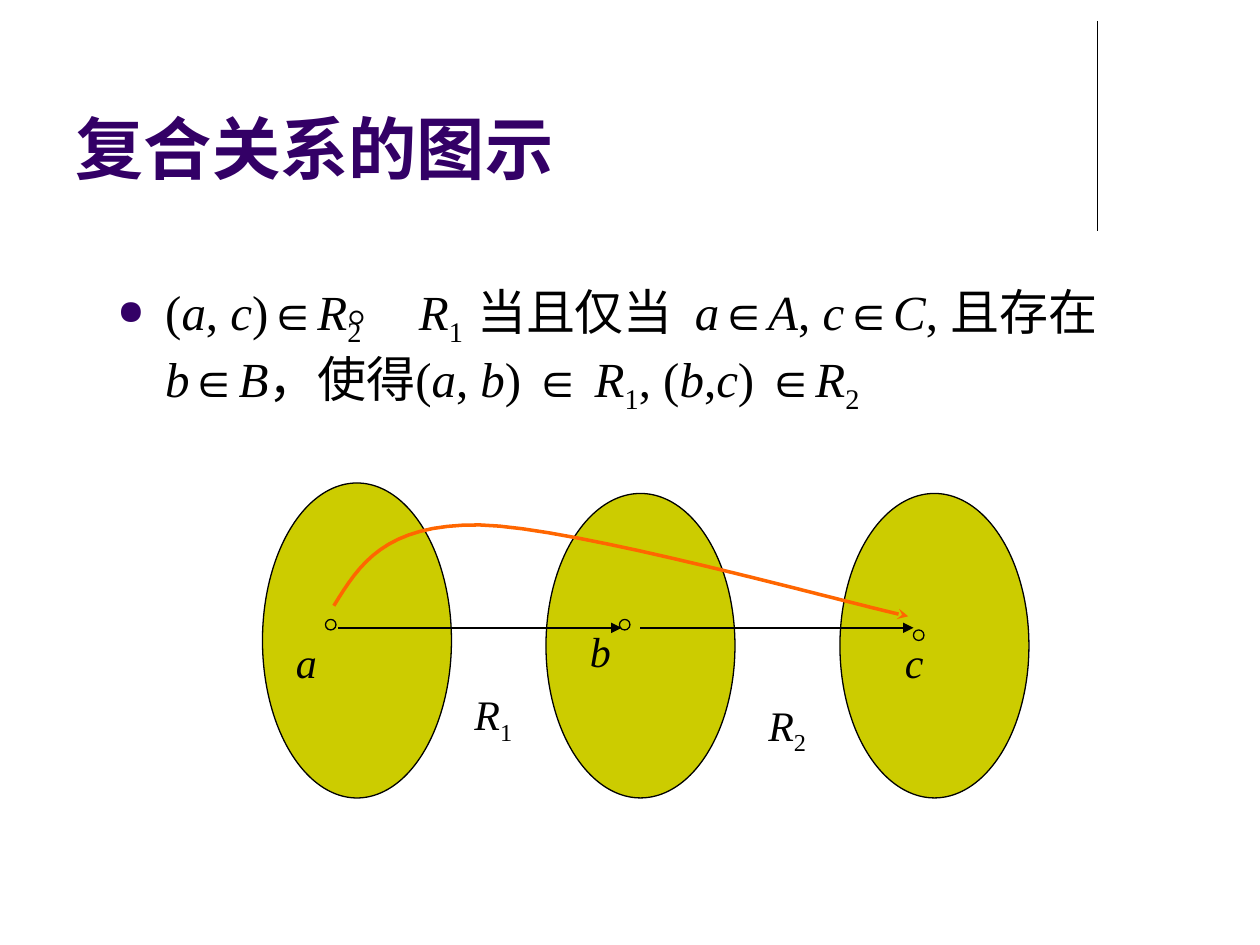
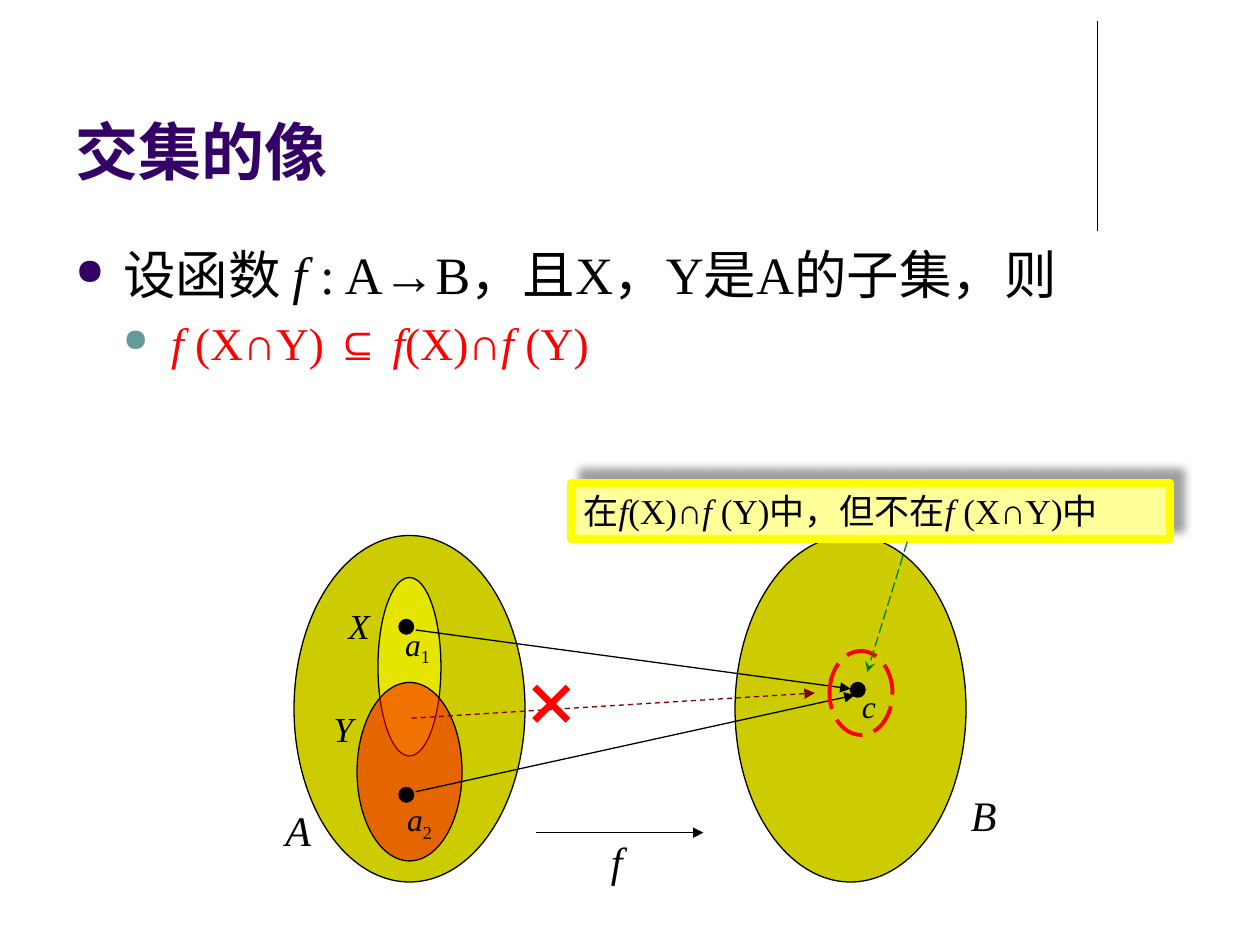
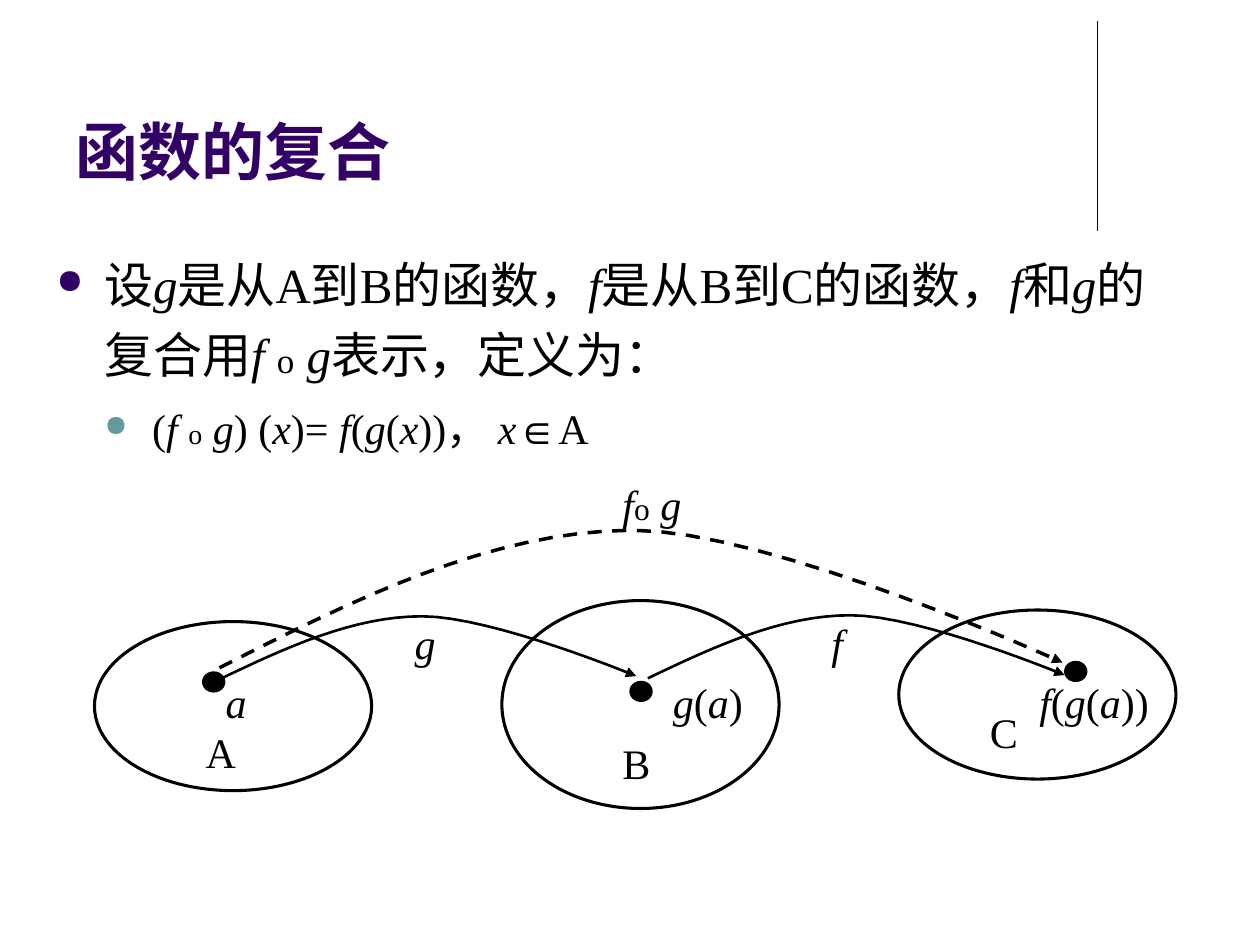
from dataclasses import dataclass

from lxml import etree
from pptx import Presentation
from pptx.dml.color import RGBColor
from pptx.enum.dml import MSO_LINE
from pptx.enum.shapes import MSO_CONNECTOR, MSO_SHAPE
from pptx.enum.text import MSO_ANCHOR, PP_ALIGN
from pptx.oxml.ns import qn
from pptx.util import Inches, Pt

OVAL, RECT, NODE = MSO_SHAPE.OVAL, MSO_SHAPE.RECTANGLE, MSO_SHAPE.FLOWCHART_CONNECTOR
STRAIGHT = MSO_CONNECTOR.STRAIGHT
DASH, LONG_DASH = MSO_LINE.DASH, MSO_LINE.LONG_DASH
TOP, BOTTOM = MSO_ANCHOR.TOP, MSO_ANCHOR.BOTTOM
LEFT = PP_ALIGN.LEFT
WIDTH, HEIGHT = Inches(10), Inches(7.5)
COLS, ROWS = 120, 90
CURVE_STEPS = 16


@dataclass(frozen=True)
class Theme:
    ink: str = "000000"
    title: str = "330066"
    bullets: tuple = ("330066", "669999")
    set_fill: str = "CCCC00"
    x_fill: str = "FFFF00"
    y_fill: str = "FF0000"
    alert: str = "FF0000"
    composite: str = "FF6600"
    missing: str = "800000"
    pointer: str = "008000"
    note_fill: str = "FFFF99"
    note_line: str = "FFFF00"
    shade: str = "808080"
    serif: str = "Times New Roman"
    mono: str = "DejaVu Sans Mono"
    label: int = 24
    medium: int = 20
    small: int = 18
    cross: int = 48
    thin: float = 0.75


T = Theme()


@dataclass(frozen=True)
class Box:
    x: float
    y: float
    w: float
    h: float

    def point(self, x, y):
        return (round((self.x + x) * WIDTH / COLS),
                round((self.y + y) * HEIGHT / ROWS))

    def area(self, x, y, w, h):
        return (*self.point(x, y), round(w * WIDTH / COLS), round(h * HEIGHT / ROWS))

    def whole(self):
        return self.area(0, 0, self.w, self.h)


PAGE = Box(0, 0, COLS, ROWS)
TITLE = Box(6, 1.5, 99, 17)


def rgb(color):
    return RGBColor.from_string(color)


def child(parent, tag, **attrs):
    return etree.SubElement(parent, qn(tag), {k: str(v) for k, v in attrs.items()})


def style_run(r, size, color=T.ink, font=T.serif, bold=False, italic=False):
    r.font.size, r.font.name = Pt(size), font
    r.font.bold, r.font.italic = bold, italic
    r.font.color.rgb = rgb(color)


def write(p, text, size, color=T.ink, font=T.serif, ring_size=T.small):
    """* toggles italic, ~ subscript, ` the ring size."""
    on = dict.fromkeys("*~`", False)
    pieces = [""]
    for ch in text:
        if ch in on:
            pieces += [ch, ""]
        else:
            pieces[-1] += ch
    for piece in pieces:
        if piece in on:
            on[piece] = not on[piece]
        elif piece:
            r = p.add_run()
            r.text = piece
            style_run(r, ring_size if on["`"] else size, color, font, italic=on["*"])
            if on["~"]:
                r._r.get_or_add_rPr().set("baseline", "-25000")


def style_line(line, color=T.ink, width=T.thin, dash=None, arrow=None):
    line.color.rgb = rgb(color)
    line.width = Pt(width)
    if dash:
        line.dash_style = dash
    if arrow:
        child(line._ln, "a:tailEnd", type=arrow)


def shape(shapes, box, at, kind=OVAL, fill=None, alpha=None, **line):
    sp = shapes.add_shape(kind, *box.area(*at))
    sp.shadow.inherit = False
    if fill:
        sp.fill.solid()
        sp.fill.fore_color.rgb = rgb(fill)
        if alpha:
            clr = sp._element.spPr.find(qn("a:solidFill"))[0]
            child(clr, "a:alpha", val=alpha * 1000)
    else:
        sp.fill.background()
    style_line(sp.line, **line)
    return sp


def connect(shapes, box, start, end, **line):
    cx = shapes.add_connector(STRAIGHT, *box.point(*start), *box.point(*end))
    style_line(cx.line, **line)
    child(cx._element.spPr, "a:effectLst")


def bezier(p0, p1, p2, p3):
    for step in range(1, CURVE_STEPS + 1):
        t = step / CURVE_STEPS
        u = 1 - t
        yield tuple(u**3 * a + 3 * u * u * t * b + 3 * u * t * t * c + t**3 * d
                    for a, b, c, d in zip(p0, p1, p2, p3))


def curve(shapes, box, knots, **line):
    points = [q for i in range(0, len(knots) - 1, 3) for q in bezier(*knots[i:i + 4])]
    fb = shapes.build_freeform(*box.point(*knots[0]))
    fb.add_line_segments([box.point(*q) for q in points], close=False)
    sp = fb.convert_to_shape()
    sp.shadow.inherit = False
    sp.fill.background()
    style_line(sp.line, **line)


def label(shapes, box, at, text, size=T.label, **style):
    tf = shapes.add_textbox(*box.area(*at)).text_frame
    tf.word_wrap = True
    write(tf.paragraphs[0], text, size, **style)


def new_slide(prs, title, size=36, font="Karla"):
    s = prs.slides.add_slide(prs.slide_layouts[5])
    connect(s.shapes, PAGE, (104.5, 2), (104.5, 22))
    sp = s.shapes.title
    sp.left, sp.top, sp.width, sp.height = TITLE.whole()
    tf = sp.text_frame
    tf.text = title
    tf.vertical_anchor = BOTTOM
    p = tf.paragraphs[0]
    p.alignment = LEFT
    style_run(p.runs[0], size, T.title, font, bold=True)
    return s


def body(s, box, items, spacing=None):
    tf = s.shapes.add_textbox(*box.whole()).text_frame
    tf.word_wrap = True
    for level, (text, size, style) in enumerate(items):
        p = tf.add_paragraph() if level else tf.paragraphs[0]
        p.level = level
        p.space_before = Pt(round(size * 0.2, 1))
        if spacing:
            p.line_spacing = spacing
        pPr = p._p.get_or_add_pPr()
        pPr.set("marL", str(Inches(0.38 * (level + 1))))
        pPr.set("indent", str(-Inches(0.38)))
        child(child(pPr, "a:buClr"), "a:srgbClr", val=T.bullets[level])
        child(pPr, "a:buSzPct", val=70000)
        child(pPr, "a:buChar", char="●")
        write(p, text, size, **style)


def relation_diagram(shapes, box):
    for at in ((0, 0, 18, 30), (27, 1, 18, 29), (55, 1, 18, 29)):
        shape(shapes, box, at, fill=T.set_fill)
    elements = (("a", (6, 13), (2, 14)), ("b", (34, 13), (30, 13)), ("c", (62, 14), (60, 14)))
    for name, dot, corner in elements:
        shape(shapes, box, (*dot, 1, 1), fill=T.set_fill)
        label(shapes, box, (*corner, 7, 6), f"*{name}*")
    for x1, x2 in ((7.2, 34.2), (36, 62)):
        connect(shapes, box, (x1, 13.8), (x2, 13.8), arrow="triangle")
    label(shapes, box, (19, 19, 9, 6), "*R*~1~")
    label(shapes, box, (47, 20, 7, 6), "*R*~2~")
    curve(shapes, box, [(6.8, 11.7), (9.2, 7.8), (11.6, 3.9), (20.7, 4),
                        (29.8, 4.2), (54.7, 11.2), (61.5, 12.7)],
          color=T.composite, width=2, arrow="stealth")


def note(shapes, box, at, text):
    sp = shape(shapes, box, at, RECT, T.note_fill, color=T.note_line, width=4.5)
    effects = sp._element.spPr.find(qn("a:effectLst"))
    shadow = child(effects, "a:outerShdw", blurRad=Pt(5), dist=Pt(8.5),
                   dir=315 * 60000, algn="ctr", rotWithShape=0)
    child(child(shadow, "a:srgbClr", val=T.shade), "a:alpha", val=75000)
    tf = sp.text_frame
    tf.word_wrap = True
    tf.vertical_anchor = TOP
    tf.paragraphs[0].alignment = LEFT
    write(tf.paragraphs[0], text, T.medium)


def image_diagram(shapes, box):
    for x in (2, 44):
        shape(shapes, box, (x, 5, 22, 33), fill=T.set_fill)
    shape(shapes, box, (10, 9, 6, 17), fill=T.x_fill, alpha=50)
    shape(shapes, box, (8, 19, 10, 17), fill=T.y_fill, alpha=50)
    for text, corner, size in (("*A*", (0, 30), T.label), ("*B*", (65.3, 28.6), T.label),
                               ("*X*", (6, 11), T.medium), ("*Y*", (4.6, 20.8), T.medium)):
        label(shapes, box, (*corner, 6, 6), text, size)
    elements = (("*a*~1~", (12, 13), (11.4, 12.9)), ("*a*~2~", (12, 29), (11.6, 29.6)),
                ("*c*", (55, 19), (54.9, 18.8)))
    for text, dot, corner in elements:
        shape(shapes, box, (*dot, 1.4, 1.4), fill=T.ink)
        label(shapes, box, (*corner, 5, 4.8), text, T.small)
    for start, end in (((13.6, 14), (55, 19.6)), ((13.6, 29.4), (55.4, 20.2)),
                       ((25, 33.3), (41, 33.3))):
        connect(shapes, box, start, end, arrow="triangle")
    label(shapes, box, (31, 33, 8.6, 6), "*f*")
    connect(shapes, box, (13.2, 22.4), (51.6, 20), color=T.missing, dash=DASH, arrow="triangle")
    label(shapes, box, (23, 15, 7, 10.8), "×", T.cross, color=T.alert, font=T.mono)
    shape(shapes, box, (53, 16, 6, 8), color=T.alert, width=2.25, dash=LONG_DASH)
    note(shapes, box, (28.4, 0, 57, 5.3), "在*f*(X)∩*f *(Y)中，但不在*f *(X∩Y)中")
    connect(shapes, box, (60.4, 5.6), (56.6, 18), color=T.pointer, dash=LONG_DASH, arrow="stealth")


def composition_diagram(shapes, box):
    for x, y, h in ((0, 14.2, 16.1), (38.8, 12.2, 19.8), (76.6, 13.1, 16.1)):
        shape(shapes, box, (x, y, 26.4, h), width=1.75)
    arc = [(11.9, 19.7), (18.2, 16.7), (24.6, 13.7), (31.2, 13.7),
           (37.9, 13.7), (51.6, 19.4), (51.6, 19.4)]
    for dx, dy in ((0, 0), (40.8, -0.1)):
        curve(shapes, box, [(x + dx, y + dy) for x, y in arc], width=1.5, arrow="triangle")
    curve(shapes, box, [(11.9, 18.6), (24.7, 12.1), (37.7, 5.6), (51.1, 5.5),
                        (64.4, 5.4), (92.2, 18.1), (92.2, 18.1)],
          width=2, dash=DASH, arrow="triangle")
    for dot in ((10.3, 19), (92.4, 18), (51, 19.9)):
        shape(shapes, box, (*dot, 2.1, 1.9), NODE, T.ink)
    for text, x, y, w in (("*a*", 11.3, 18.8, 5.6), ("A", 9.4, 23.6, 5.6),
                          ("*g*(*a*)", 53.9, 18.8, 10.4), ("B", 49.1, 24.6, 5.6),
                          ("C", 84.1, 21.7, 5.6), ("*f*(*g*(*a*))", 88.8, 18.8, 15.1),
                          ("*g*", 29.3, 13.2, 10.4), ("*f*", 69, 13.2, 10.4),
                          ("*f*`ο` *g*", 49.1, 0, 10.4)):
        label(shapes, box, (x, y, w, 6.6), text)


def relation_slide(prs):
    s = new_slide(prs, "复合关系的图示", 39, "Arial")
    text = ("(*a*,* c*)∈*R*~2 ~⃘ *R*~1  ~当且仅当  *a*∈*A*, *c*∈*C*, 且存在"
            "*b*∈*B*，使得(*a*,* b*) ∈ *R*~1~, (*b*,*c*) ∈*R*~2~")
    body(s, Box(10, 26.2, 102, 49), [(text, 28, {})])
    relation_diagram(s.shapes, Box(25, 46, 73, 30))


def image_slide(prs):
    s = new_slide(prs, "交集的像")
    body(s, Box(6, 22.5, 108, 58),
         [("设函数 *f *: A→B，且X，Y是A的子集，则", 30, {}),
          ("*f *(X∩Y) ⊆ *f*(X)∩*f *(Y)", 26, {"color": T.alert})])
    image_diagram(s.shapes.add_group_shape().shapes, Box(26, 46, 86, 39))


def composition_slide(prs):
    s = new_slide(prs, "函数的复合")
    body(s, Box(4.2, 22.5, 107.8, 24.4),
         [("设*g*是从A到B的函数，*f*是从B到C的函数，*f*和*g*的复合用*f *`ο` *g*表示，定义为：",
           28, {"ring_size": 20}),
          ("(*f *`ο` *g*) (*x*)=* f*(*g*(*x*))，* x*∈A", 24, {"ring_size": 16})],
         spacing=1.2)
    composition_diagram(s.shapes, Box(9, 45, 104, 32))


def main():
    prs = Presentation()
    prs.slide_width, prs.slide_height = WIDTH, HEIGHT
    for build in (relation_slide, image_slide, composition_slide):
        build(prs)
    prs.save("out.pptx")


if __name__ == "__main__":
    main()
